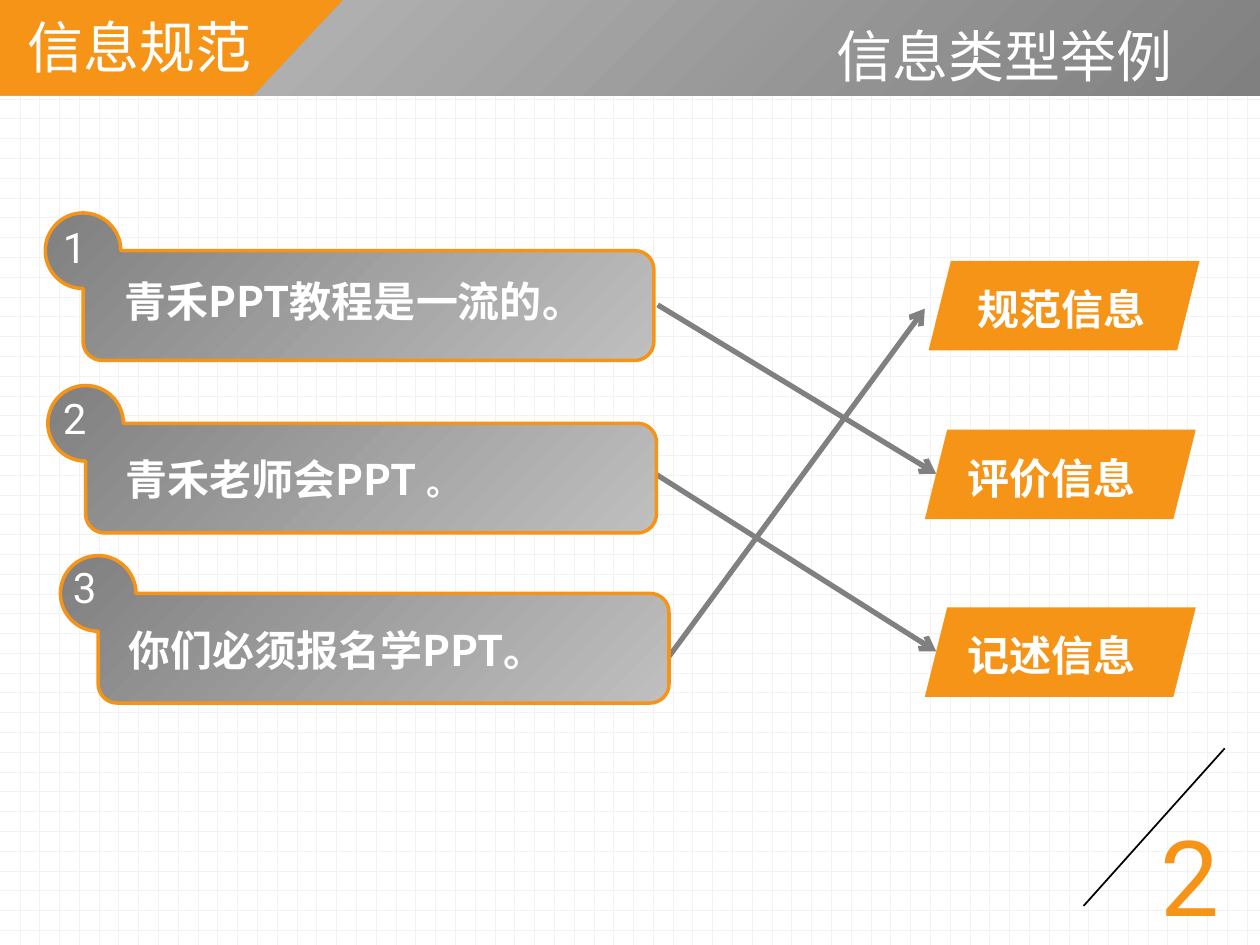
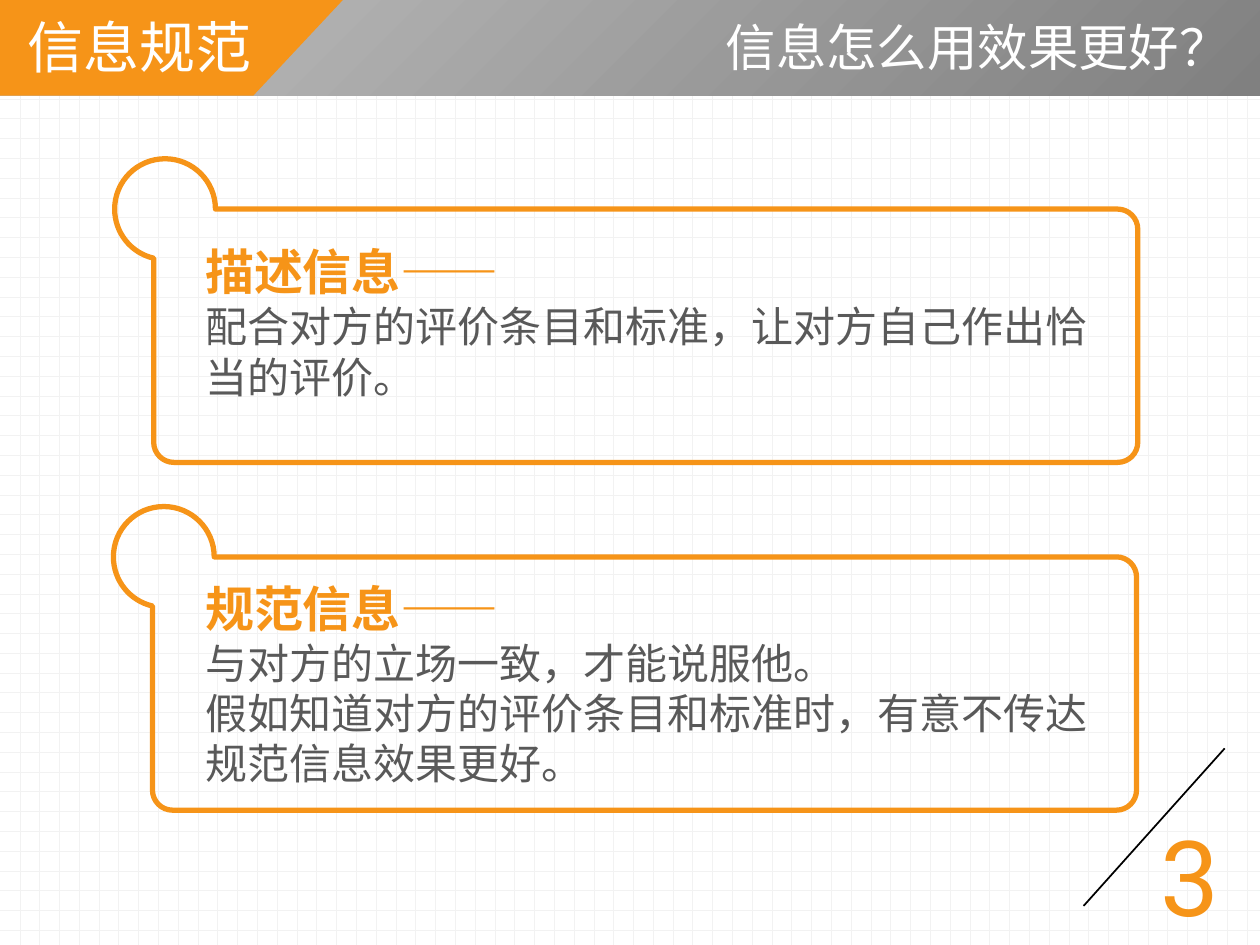
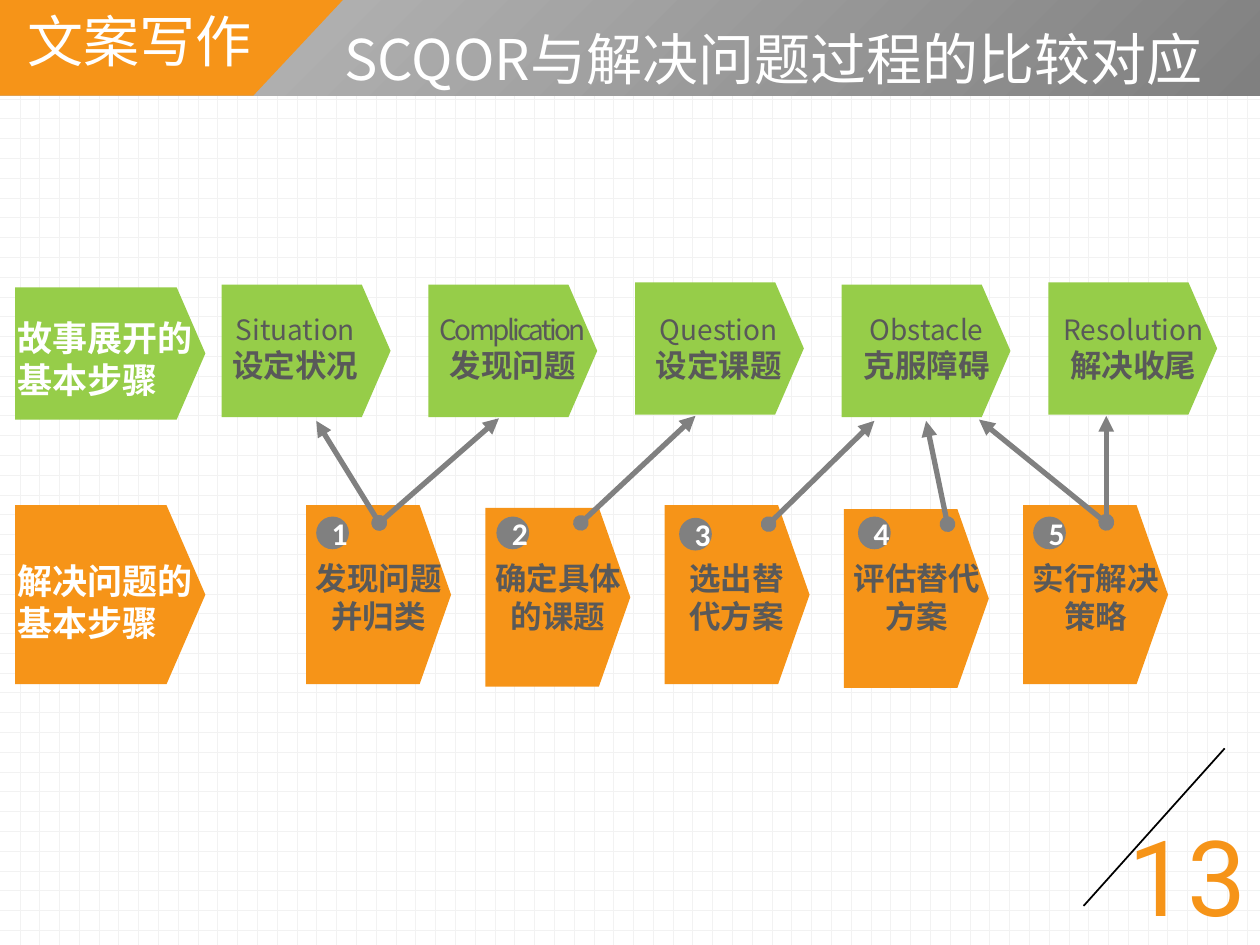
import math
from dataclasses import dataclass

import lxml.etree
import pptx
import pptx.dml.color
import pptx.enum.dml
import pptx.enum.shapes
import pptx.enum.text
import pptx.oxml.ns
import pptx.util

Inches = pptx.util.Inches
Pt = pptx.util.Pt
qn = pptx.oxml.ns.qn
Forms = pptx.enum.shapes.MSO_SHAPE
Align = pptx.enum.text.PP_ALIGN
Anchor = pptx.enum.text.MSO_ANCHOR
Fit = pptx.enum.text.MSO_AUTO_SIZE

COLORS = {
    "orange": "F69418", "green": "96CD49", "gray": "808080", "silver": "BFBFBF",
    "text": "595959", "white": "FFFFFF", "grid": "F2F2F2", "black": "000000",
}
SANS = "Noto Sans CJK SC"


@dataclass(frozen=True)
class Box:
    left: float
    top: float
    width: float
    height: float

    def lengths(self) -> tuple:
        return tuple(Inches(v) for v in (self.left, self.top, self.width, self.height))


@dataclass(frozen=True)
class Style:
    size: float
    color: str = "white"
    face: str = SANS
    bold: bool = False
    space: float = 0


@dataclass(frozen=True)
class Arrow:
    start: tuple
    end: tuple


@dataclass(frozen=True)
class Bubble:
    box: Box
    radius: float
    inset: float
    corner: float
    line: float
    filled: bool


@dataclass(frozen=True)
class Step:
    name: str
    style: Style
    task: str
    top: float
    box: Box


HEAD = Style(32)
CHAPTER = Style(32, face="Noto Sans CJK JP")
NUMBER = Style(60, "orange", "Roboto")
STRONG = Style(24, bold=True)
DIGIT = Style(24, face="Roboto")
LEAD = Style(28, "orange", bold=True)
BODY = Style(24, "text")
SIDE = Style(20, bold=True)
ENGLISH = Style(16, "text")
TIGHT = Style(16, "text", space=-1.5)
TASK = Style(18, "text", bold=True)
BADGE = Style(18, face="Calibri", bold=True)


def rgb(key: str) -> pptx.dml.color.RGBColor:
    return pptx.dml.color.RGBColor.from_string(COLORS[key])


def add_sub(parent, tag: str, **attrs):
    return lxml.etree.SubElement(parent, qn(tag), attrs)


def write(frame, lines: list, align=Align.LEFT, anchor=Anchor.TOP) -> None:
    frame.word_wrap = True
    frame.vertical_anchor = anchor
    for index, parts in enumerate(lines):
        para = frame.add_paragraph() if index else frame.paragraphs[0]
        para.alignment = align
        for text, style in parts:
            run = para.add_run()
            run.text = text
            run.font.size = Pt(style.size)
            run.font.bold = style.bold
            run.font.color.rgb = rgb(style.color)
            run.font.name = style.face
            props = run._r.get_or_add_rPr()
            add_sub(props, "a:ea", typeface=style.face)
            if style.space:
                props.set("spc", str(round(style.space * 100)))


def add_text(slide, box: Box, lines: list, align=Align.LEFT) -> None:
    frame = slide.shapes.add_textbox(*box.lengths()).text_frame
    frame.auto_size = Fit.SHAPE_TO_FIT_TEXT
    write(frame, lines, align)


def paint(shape, color: str) -> None:
    shape.shadow.inherit = False
    shape.fill.solid()
    shape.fill.fore_color.rgb = rgb(color)
    shape.line.fill.background()


def shade(shape, near: str, far: str) -> None:
    shape.fill.gradient()
    for stop, color in zip(shape.fill.gradient_stops, (near, far)):
        stop.color.rgb = rgb(color)
    grad = shape.element.spPr.find(qn("a:gradFill"))
    grad.remove(grad.find(qn("a:lin")))
    route = add_sub(grad, "a:path", path="circle")
    add_sub(route, "a:fillToRect", l="100000", t="100000")


def add_form(slide, kind, box: Box, color: str):
    shape = slide.shapes.add_shape(kind, *box.lengths())
    paint(shape, color)
    return shape


def add_line(slide, arrow: Arrow, color: str, width: float, head: str = "", tail: str = ""):
    ends = [Inches(v) for v in (*arrow.start, *arrow.end)]
    line = slide.shapes.add_connector(pptx.enum.shapes.MSO_CONNECTOR.STRAIGHT, *ends)
    line.line.color.rgb = rgb(color)
    line.line.width = Pt(width)
    stroke = line.element.spPr.find(qn("a:ln"))
    for tag, kind in (("a:headEnd", head), ("a:tailEnd", tail)):
        if kind:
            add_sub(stroke, tag, type=kind)
    add_sub(line.element.spPr, "a:effectLst")
    return line


def add_outline(slide, parts: list):
    parts = [[(Inches(x), Inches(y)) for x, y in part] for part in parts]
    pen = slide.shapes.build_freeform(*parts[0][-1], scale=1.0)
    pen.add_line_segments([part[-1] for part in parts[1:]], close=True)
    shape = pen.convert_to_shape()
    shape.shadow.inherit = False
    steps = list(shape.element.spPr.iter(qn("a:lnTo")))
    for step, part in zip(steps, parts[1:]):
        if len(part) == 3:
            curve = lxml.etree.Element(qn("a:cubicBezTo"))
            for x, y in part:
                add_sub(curve, "a:pt", x=str(x - shape.left), y=str(y - shape.top))
            step.getparent().replace(step, curve)
    return shape


def arc(x: float, y: float, radius: float, start: float, end: float) -> list:
    first, last = math.radians(start), math.radians(end)
    pull = 4 / 3 * math.tan((last - first) / 4)

    def spot(turn: float, push: float) -> tuple:
        cos, sin = math.cos(turn), math.sin(turn)
        return x + radius * (cos - push * sin), y + radius * (sin + push * cos)

    return [spot(first, pull), spot(last, -pull), spot(last, 0)]


def add_bubble(slide, item: Bubble) -> None:
    box, radius, corner = item.box, item.radius, item.corner
    left, top = box.left + item.inset, box.top + radius
    right, bottom = box.left + box.width, box.top + box.height
    join = math.degrees(math.acos((item.inset - radius) / radius)) - 360
    hub = (box.left + radius, top, radius)
    shape = add_outline(slide, [
        [(box.left + 2 * radius, top)],
        arc(*hub, 0, -90),
        arc(*hub, -90, -180),
        arc(*hub, -180, join),
        [(left, bottom - corner)],
        arc(left + corner, bottom - corner, corner, 180, 90),
        [(right - corner, bottom)],
        arc(right - corner, bottom - corner, corner, 90, 0),
        [(right, top + corner)],
        arc(right - corner, top + corner, corner, 0, -90),
    ])
    if item.filled:
        shade(shape, "silver", "gray")
    else:
        shape.fill.background()
    shape.line.color.rgb = rgb("orange")
    shape.line.width = Pt(item.line)


def add_frame(slide) -> None:
    rule = add_line(slide, Arrow((9.72, 5.94), (8.6, 7.19)), "black", 1)
    band = add_form(slide, Forms.RECTANGLE, Box(0, 0, 10, 0.76), "gray")
    shade(band, "gray", "silver")
    corners = [(-0.03, 0.76), (-0.02, -0.02), (2.74, -0.02), (2.01, 0.76)]
    flag = add_outline(slide, [[point] for point in corners])
    paint(flag, "orange")
    tree = slide.slide_layout.shapes.element
    for index, shape in enumerate((rule, band, flag)):
        next(shape.element.iter(qn("p:cNvPr"))).set("id", str(101 + index))
        tree.append(shape.element)


def add_page(deck, chapter: tuple, title: tuple, number: tuple):
    slide = deck.slides.add_slide(deck.slide_layouts[5])
    if len(deck.slides) == 1:
        add_frame(slide)
    text, box, style = title
    head = slide.shapes.title
    head.left, head.top, head.width, head.height = box.lengths()
    head.text_frame.auto_size = Fit.NONE
    write(head.text_frame, [[(text, style)]], Align.RIGHT, Anchor.MIDDLE)

    label, top, wide = chapter
    add_text(slide, Box(0.12, top, wide, 0.64), [[(label, CHAPTER)]])
    page, left, width = number
    add_text(slide, Box(left, 6.39, width, 1.11), [[(page, NUMBER)]])
    return slide


def draw_types(deck) -> None:
    slide = add_page(deck, ("信息规范", 0.05, 3.62),
                     ("信息类型举例", Box(5.79, 0.12, 3.62, 0.64), HEAD), ("2", 9.11, 0.7))
    for arrow in (
        Arrow((5.22, 2.42), (7.43, 3.76)),
        Arrow((5.2, 3.76), (7.43, 5.17)),
        Arrow((5.31, 5.21), (7.34, 2.45)),
    ):
        add_line(slide, arrow, "gray", 3, tail="arrow")

    claims = [
        ((0.36, 1.69), Box(0.4, 1.71, 1.1, 0.5), Box(0.89, 2.14, 3.7, 0.5),
         [("青禾PPT教程是一流的。", STRONG)]),
        ((0.38, 3.06), Box(0.4, 3.07, 0.55, 0.5), Box(0.9, 3.55, 3.7, 0.5),
         [("青禾老师会PPT ", STRONG), ("。", Style(20, face="Calibri", bold=True))]),
        ((0.48, 4.41), Box(0.48, 4.41, 0.55, 0.5), Box(0.92, 4.91, 4.38, 0.5),
         [("你们必须报名学PPT。", STRONG)]),
    ]
    for index, (place, spot, box, parts) in enumerate(claims, 1):
        add_bubble(slide, Bubble(Box(*place, 4.83, 1.17), 0.3, 0.3, 0.15, 2, True))
        add_text(slide, box, [parts])
        add_text(slide, spot, [[(str(index), DIGIT)]])

    for text, left, top, shift, width in (
        ("规范信息", 7.37, 2.07, 0.29, 1.57),
        ("评价信息", 7.34, 3.41, 0.24, 1.85),
        ("记述信息", 7.34, 4.82, 0.24, 1.85),
    ):
        add_form(slide, Forms.PARALLELOGRAM, Box(left, top, 2.15, 0.71), "orange")
        add_text(slide, Box(left + shift, top + 0.13, width, 0.5), [[(text, STRONG)]])


def draw_usage(deck) -> None:
    slide = add_page(deck, ("信息规范", 0.05, 3.62),
                     ("信息怎么用效果更好？", Box(5.33, -0.01, 4.13, 0.76), Style(28.8)),
                     ("3", 9.11, 0.7))
    notes = [
        ((0.91, 1.26), Box(1.53, 1.87, 7.32, 1.38), "描述信息——",
         ["配合对方的评价条目和标准，让对方自己作出恰当的评价。"]),
        ((0.9, 4.02), Box(1.53, 4.54, 7.32, 1.78), "规范信息——",
         ["与对方的立场一致，才能说服他。",
          "假如知道对方的评价条目和标准时，有意不传达规范信息效果更好。"]),
    ]
    for place, box, lead, body in notes:
        add_text(slide, box, [[(lead, LEAD)]] + [[(text, BODY)] for text in body])
        add_bubble(slide, Bubble(Box(*place, 8.12, 2.41), 0.4, 0.31, 0.16, 3, False))


def add_plate(slide, box: Box, color: str) -> None:
    add_form(slide, Forms.PENTAGON, box, color).adjustments[0] = 0.217


def draw_steps(deck) -> None:
    slide = add_page(deck, ("文案写作", 0, 2.44),
                     ("SCQOR与解决问题过程的比较对应", Box(2.17, 0, 7.48, 0.92), HEAD),
                     ("13", 8.86, 1.34))
    for text, color, top, height, line in (
        ("故事展开的基本步骤", "green", 2.28, 1.05, 2.46),
        ("解决问题的基本步骤", "orange", 4.01, 1.42, 4.39),
    ):
        add_plate(slide, Box(0.12, top, 1.51, height), color)
        add_text(slide, Box(0.04, line, 1.67, 0.77), [[(text, SIDE)]])

    story = [
        Step("Situation", ENGLISH, "设定状况", 2.26, Box(1.63, 2.43, 1.43, 0.67)),
        Step("Complication", TIGHT, "发现问题", 2.26, Box(3.25, 2.43, 1.64, 0.67)),
        Step("Question", ENGLISH, "设定课题", 2.24, Box(4.99, 2.43, 1.43, 0.67)),
        Step("Obstacle", ENGLISH, "克服障碍", 2.26, Box(6.64, 2.43, 1.43, 0.67)),
        Step("Resolution", ENGLISH, "解决收尾", 2.24, Box(8.21, 2.43, 1.57, 0.67)),
    ]
    for index, step in enumerate(story):
        add_plate(slide, Box(1.76 + 1.64 * index, step.top, 1.34, 1.05), "green")
        add_text(slide, step.box, [[(step.name, step.style)], [(step.task, TASK)]], Align.CENTER)

    solving = [
        ("发现问题并归类", 4.01, 2.33, 1.35, 2.51, 4.1),
        ("确定具体的课题", 4.03, 3.77, 1.32, 3.94, 4.1),
        ("选出替代方案", 4.01, 5.25, 1.19, 5.39, 4.11),
        ("评估替代方案", 4.04, 6.58, 1.39, 6.81, 4.1),
        ("实行解决策略", 4.01, 8.05, 1.29, 8.2, 4.1),
    ]
    for index, (text, top, left, width, dot, high) in enumerate(solving):
        add_plate(slide, Box(2.43 + 5.69 * index / 4, top, 1.15, 1.42), "orange")
        add_text(slide, Box(left, 4.39, width, 0.71), [[(text, TASK)]], Align.CENTER)
        badge = add_form(slide, Forms.OVAL, Box(dot, high, 0.26, 0.26), "gray")
        write(badge.text_frame, [[(str(index + 1), BADGE)]], Align.CENTER, Anchor.MIDDLE)

    for arrow in (
        Arrow((3.01, 4.15), (2.51, 3.34)),
        Arrow((3.01, 4.15), (3.96, 3.32)),
        Arrow((4.61, 4.15), (5.52, 3.3)),
        Arrow((6.1, 4.16), (6.94, 3.34)),
        Arrow((7.52, 4.16), (7.35, 3.34)),
        Arrow((8.78, 4.15), (7.77, 3.33)),
        Arrow((8.78, 4.14), (8.78, 3.3)),
    ):
        add_line(slide, arrow, "gray", 3, "oval", "triangle")


def main() -> None:
    deck = pptx.Presentation()
    deck.slide_width, deck.slide_height = Inches(10), Inches(7.5)
    fill = deck.slide_master.background.fill
    fill.patterned()
    fill.pattern = pptx.enum.dml.MSO_PATTERN.DOTTED_GRID
    fill.fore_color.rgb = rgb("grid")
    fill.back_color.rgb = rgb("white")
    draw_types(deck)
    draw_usage(deck)
    draw_steps(deck)
    deck.save("out.pptx")


if __name__ == "__main__":
    main()
